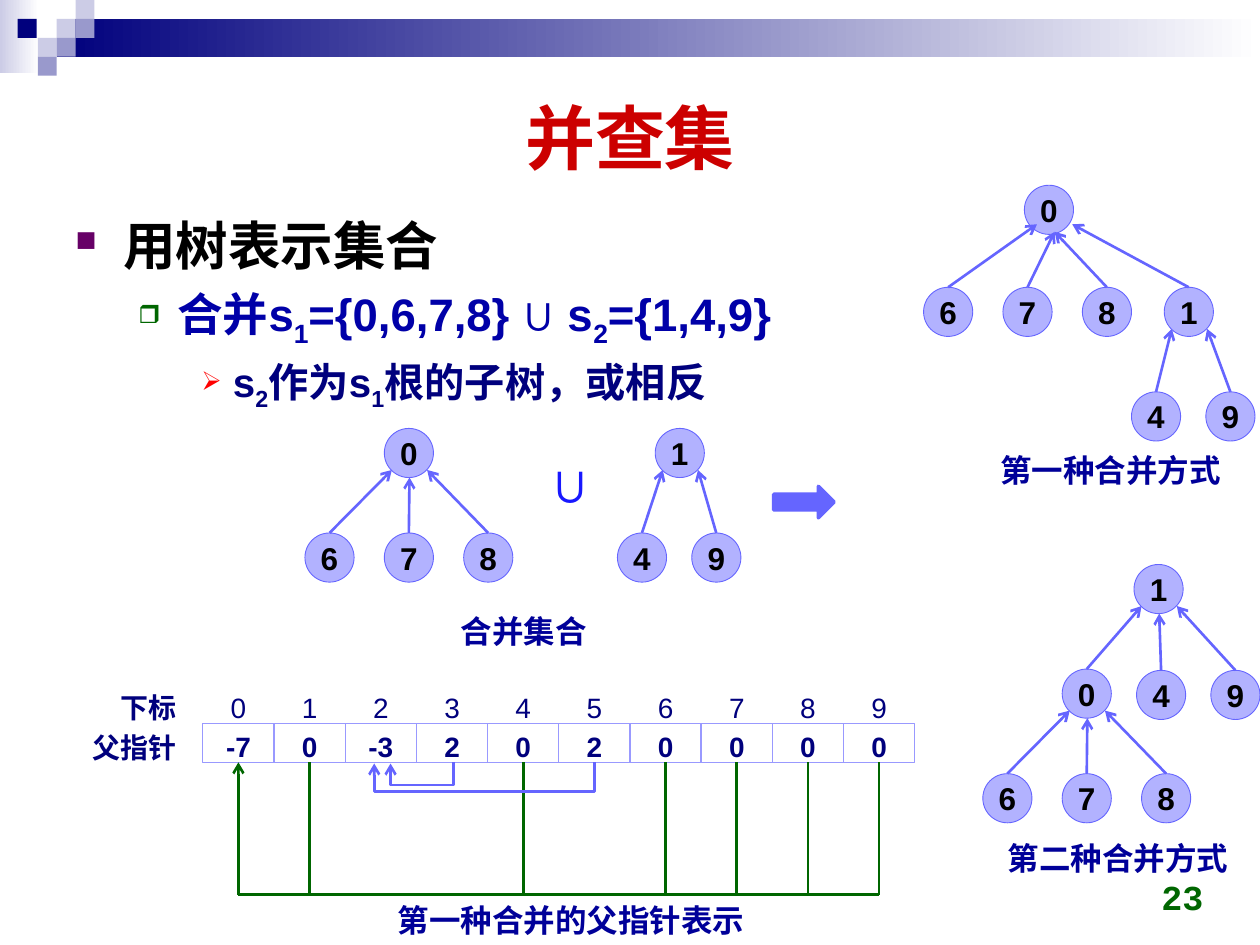
"""Build a slide on merging disjoint sets that are stored as trees."""
from dataclasses import dataclass

from lxml import etree
from pptx import Presentation
from pptx import util as u
from pptx.dml.color import RGBColor
from pptx.enum import shapes, text
from pptx.oxml.ns import qn


@dataclass(frozen=True)
class Theme:
    navy: str = "00007D"
    lilac: str = "CCCCE6"
    mauve: str = "9999CC"
    white: str = "FFFFFF"
    black: str = "000000"
    red: str = "CC0000"
    green: str = "006600"
    caption: str = "000099"
    union: str = "1818FF"
    edge: str = "6565FF"
    node: str = "B2B2FF"
    cell: str = "9999FF"
    font: str = "Arial"
    title_size: int = 40
    union_size: int = 32
    number_size: int = 20
    label_size: int = 18
    cell_size: int = 16


THEME = Theme()


@dataclass(frozen=True)
class Style:
    size: float
    color: str
    bold: bool = True
    font: str = THEME.font


@dataclass(frozen=True)
class Bullet:
    spans: tuple
    style: Style
    margin: float
    hang: float
    mark: str
    color: str
    percent: int


@dataclass(frozen=True)
class Node:
    label: str
    left: float
    top: float
    side: str = ""
    children: tuple = ()
    nudge: tuple = (0, 0)


LABEL = Style(THEME.label_size, THEME.caption)
NODE_LABEL = Style(THEME.label_size, THEME.black)
CELL = Style(THEME.cell_size, THEME.navy)
INDEX = Style(THEME.cell_size, THEME.navy, False)
ALIGN = text.PP_ALIGN
ANCHOR = text.MSO_ANCHOR
DIAMETER = 0.39
TIPS = {"left": (0.06, 0.33), "middle": (0.2, 0.39), "right": (0.34, 0.33)}

PARENTS = (-7, 0, -3, 2, 0, 2, 0, 0, 0, 0)
TABLE_LEFT, COLUMN, ROW = 1.61, 0.565, 0.31
INDEX_TOP, CELL_TOP, CELL_BOTTOM, RAIL = 5.43, 5.74, 6.05, 7.1

BULLETS = (
    Bullet((("用树表示集合", False),), Style(30, THEME.black),
           0.38, 0.38, "■", "660066", 55),
    Bullet((("合并s", False), ("1", True), ("={0,6,7,8} ∪ s", False),
            ("2", True), ("={1,4,9}", False)), Style(26, "0000A8"),
           0.81, 0.31, "❒", THEME.green, 55),
    Bullet((("s", False), ("2", True), ("作为s", False), ("1", True),
            ("根的子树，或相反", False)), Style(23, THEME.navy),
           1.25, 0.25, "➢", "FF0000", 65),
)

TREES = (
    Node("0", 3.05, 3.4, children=(
        Node("6", 2.42, 4.23, "left"), Node("7", 3.05, 4.23, "middle"),
        Node("8", 3.68, 4.23, "right"))),
    Node("1", 5.2, 3.4, children=(
        Node("4", 4.9, 4.23, "left"), Node("9", 5.49, 4.23, "right"))),
    Node("0", 8.13, 1.47, nudge=(0.04, -0.02), children=(
        Node("6", 7.33, 2.28, "left"), Node("7", 7.96, 2.28, "middle"),
        Node("8", 8.59, 2.28, "middle"),
        Node("1", 9.24, 2.28, "right", (
            Node("4", 8.98, 3.11, "left"), Node("9", 9.57, 3.11, "right"))))),
    Node("1", 9, 4.48, children=(
        Node("0", 8.43, 5.31, "left", (
            Node("6", 7.8, 6.14, "left"), Node("7", 8.43, 6.14, "middle"),
            Node("8", 9.06, 6.14, "right"))),
        Node("4", 9.02, 5.32, "middle"), Node("9", 9.61, 5.32, "right"))),
)


def add_span(para, wording: str, style: Style, subscript: bool = False) -> None:
    span = para.add_run()
    span.text = wording
    span.font.size = u.Pt(style.size)
    span.font.name = style.font
    span.font.bold = style.bold
    span.font.color.rgb = RGBColor.from_string(style.color)
    if subscript:
        span._r.get_or_add_rPr().set("baseline", "-25000")


def write(box, wording: str, style: Style, align, anchor, wrap: bool) -> None:
    frame = box.text_frame
    frame.word_wrap = wrap
    frame.vertical_anchor = anchor
    para = frame.paragraphs[0]
    para.alignment = align
    add_span(para, wording, style)


def add_label(page, at: tuple, wording: str, style: Style = LABEL,
              align=ALIGN.LEFT, anchor=ANCHOR.TOP, wrap: bool = False) -> None:
    box = page.shapes.add_textbox(*map(u.Inches, at))
    write(box, wording, style, align, anchor, wrap)


def add_block(page, kind, at: tuple, fill: str = "", line: str = "", width: float = 0.5):
    block = page.shapes.add_shape(kind, *map(u.Inches, at))
    block.shadow.inherit = False
    if fill:
        block.fill.solid()
        block.fill.fore_color.rgb = RGBColor.from_string(fill)
    else:
        block.fill.background()
    if line:
        block.line.color.rgb = RGBColor.from_string(line)
        block.line.width = u.Pt(width)
    else:
        block.line.fill.background()
    return block


def finish_line(stroke, color: str, arrow: bool) -> None:
    stroke.line.color.rgb = RGBColor.from_string(color)
    stroke.line.width = u.Pt(1.5)
    if arrow:
        etree.SubElement(stroke.line._get_or_add_ln(), qn("a:tailEnd"), type="arrow")


def add_line(page, start: tuple, end: tuple, color: str, arrow: bool = False) -> None:
    stroke = page.shapes.add_connector(
        shapes.MSO_CONNECTOR.STRAIGHT, *map(u.Inches, start + end))
    finish_line(stroke, color, arrow)
    etree.SubElement(stroke._element.spPr, qn("a:effectLst"))


def add_bent_arrow(page, start: tuple, end: tuple, depth: float) -> None:
    points = [tuple(map(u.Inches, point)) for point in
              (start, (start[0], depth), (end[0], depth), end)]
    builder = page.shapes.build_freeform(*points[0], scale=1.0)
    builder.add_line_segments(points[1:], close=False)
    stroke = builder.convert_to_shape()
    stroke.shadow.inherit = False
    stroke.fill.background()
    finish_line(stroke, THEME.edge, True)


def draw_banner(page) -> None:
    for at, color in (((0, 0, 0.31, 0.58), THEME.lilac), ((0.45, 0.15, 9.55, 0.3), THEME.navy)):
        band = add_block(page, shapes.MSO_SHAPE.RECTANGLE, at, color)
        band.fill.gradient()
        band.fill.gradient_angle = 0
        for stop, shade in zip(band.fill.gradient_stops, (color, THEME.white)):
            stop.color.rgb = RGBColor.from_string(shade)
    for left, top, color in (
            (0.45, 0.15, THEME.lilac), (0.6, 0, THEME.lilac), (0.6, 0.15, THEME.mauve),
            (0.3, 0.3, THEME.lilac), (0.14, 0.15, THEME.navy),
            (0.45, 0.3, THEME.mauve), (0.3, 0.45, THEME.mauve)):
        add_block(page, shapes.MSO_SHAPE.RECTANGLE, (left, top, 0.15, 0.15), color)


def draw_bullets(page) -> None:
    frame = page.shapes.add_textbox(*map(u.Inches, (0.5, 1.62, 9, 5.2))).text_frame
    frame.word_wrap = True
    for level, bullet in enumerate(BULLETS):
        para = frame.add_paragraph() if level else frame.paragraphs[0]
        para.level = level
        para.line_spacing = 1.05
        para.space_before = u.Pt(round(bullet.style.size * 0.15, 1))
        props = para._p.get_or_add_pPr()
        props.set("marL", str(u.Inches(bullet.margin)))
        props.set("indent", str(-u.Inches(bullet.hang)))
        color = etree.SubElement(props, qn("a:buClr"))
        etree.SubElement(color, qn("a:srgbClr"), val=bullet.color)
        etree.SubElement(props, qn("a:buSzPct"), val=str(bullet.percent * 1000))
        etree.SubElement(props, qn("a:buChar"), char=bullet.mark)
        for wording, subscript in bullet.spans:
            add_span(para, wording, bullet.style, subscript)


def draw_tree(page, node: Node) -> None:
    circle = add_block(page, shapes.MSO_SHAPE.OVAL, (node.left, node.top, DIAMETER, DIAMETER),
                       THEME.node, THEME.edge)
    write(circle, node.label, NODE_LABEL, ALIGN.CENTER, ANCHOR.MIDDLE, False)
    for child in node.children:
        draw_tree(page, child)
        across, down = TIPS[child.side]
        tip = (node.left + across + node.nudge[0], node.top + down + node.nudge[1])
        add_line(page, (child.left + DIAMETER / 2, child.top), tip, THEME.edge, True)


def draw_parent_array(page) -> None:
    for wording, top in (("下标", INDEX_TOP), ("父指针", 5.75)):
        add_label(page, (0.5, top, 1, ROW), wording, CELL, ALIGN.RIGHT)
    centers = [TABLE_LEFT + COLUMN * (index + 0.5) for index in range(len(PARENTS))]
    for index, parent in enumerate(PARENTS):
        left = TABLE_LEFT + COLUMN * index
        add_label(page, (left, INDEX_TOP, COLUMN, ROW), str(index), INDEX, ALIGN.CENTER)
        cell = add_block(page, shapes.MSO_SHAPE.RECTANGLE, (left, CELL_TOP, COLUMN, ROW),
                         line=THEME.cell, width=0.75)
        write(cell, str(parent), CELL, ALIGN.CENTER, ANCHOR.TOP, False)
        if index and parent == 0:
            add_line(page, (centers[index], CELL_BOTTOM), (centers[index], RAIL), THEME.green)
    add_line(page, (centers[-1], RAIL), (centers[0], RAIL), THEME.green)
    add_line(page, (centers[0], RAIL), (centers[0], CELL_BOTTOM), THEME.green, True)
    for start, end, depth in ((3.6, 3.1, 6.23), (4.72, 2.97, 6.28)):
        add_bent_arrow(page, (start, CELL_BOTTOM), (end, 6.06), depth)


def main() -> None:
    deck = Presentation()
    deck.slide_width, deck.slide_height = u.Inches(10), u.Inches(7.5)
    page = deck.slides.add_slide(deck.slide_layouts[6])
    draw_banner(page)
    add_label(page, (0.5, 0.5, 9, 1.16), "并查集", Style(THEME.title_size, THEME.red),
              ALIGN.CENTER, ANCHOR.MIDDLE, True)
    draw_bullets(page)
    add_label(page, (7.32, 6.83, 2.33, 0.5), "23",
              Style(THEME.number_size, THEME.green, font="Courier New"),
              ALIGN.RIGHT, ANCHOR.BOTTOM, True)
    for tree in TREES:
        draw_tree(page, tree)
    add_block(page, shapes.MSO_SHAPE.RIGHT_ARROW, (6.14, 3.86, 0.48, 0.25),
              THEME.edge, THEME.edge, 2)
    add_label(page, (4.21, 3.5, 0.55, 0.64), "∪",
              Style(THEME.union_size, THEME.union, font="Times New Roman"))
    for left, top, width, wording in (
            (3.56, 4.81, 1.22, "合并集合"), (7.84, 3.53, 1.98, "第一种合并方式"),
            (7.9, 6.61, 1.98, "第二种合并方式"), (3.06, 7.1, 3, "第一种合并的父指针表示")):
        add_label(page, (left, top, width, 0.4), wording)
    draw_parent_array(page)
    deck.save("out.pptx")


if __name__ == "__main__":
    main()
